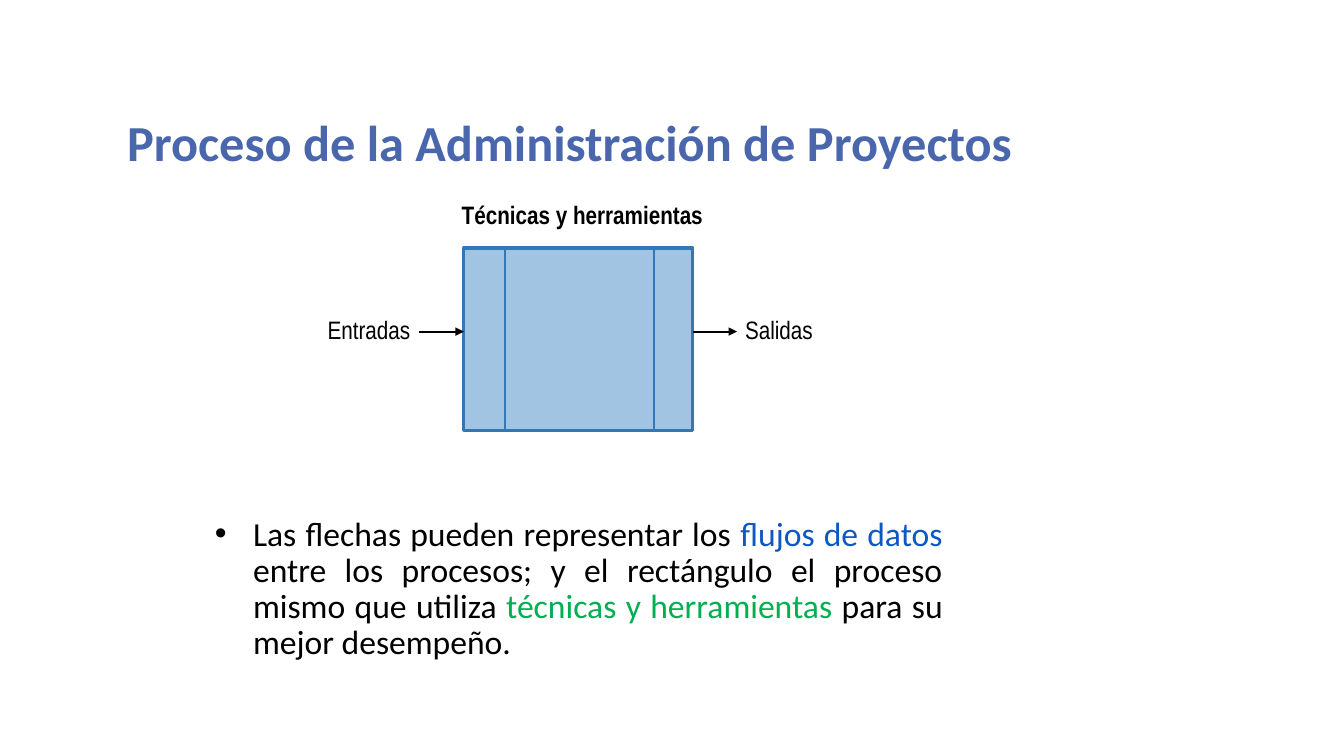
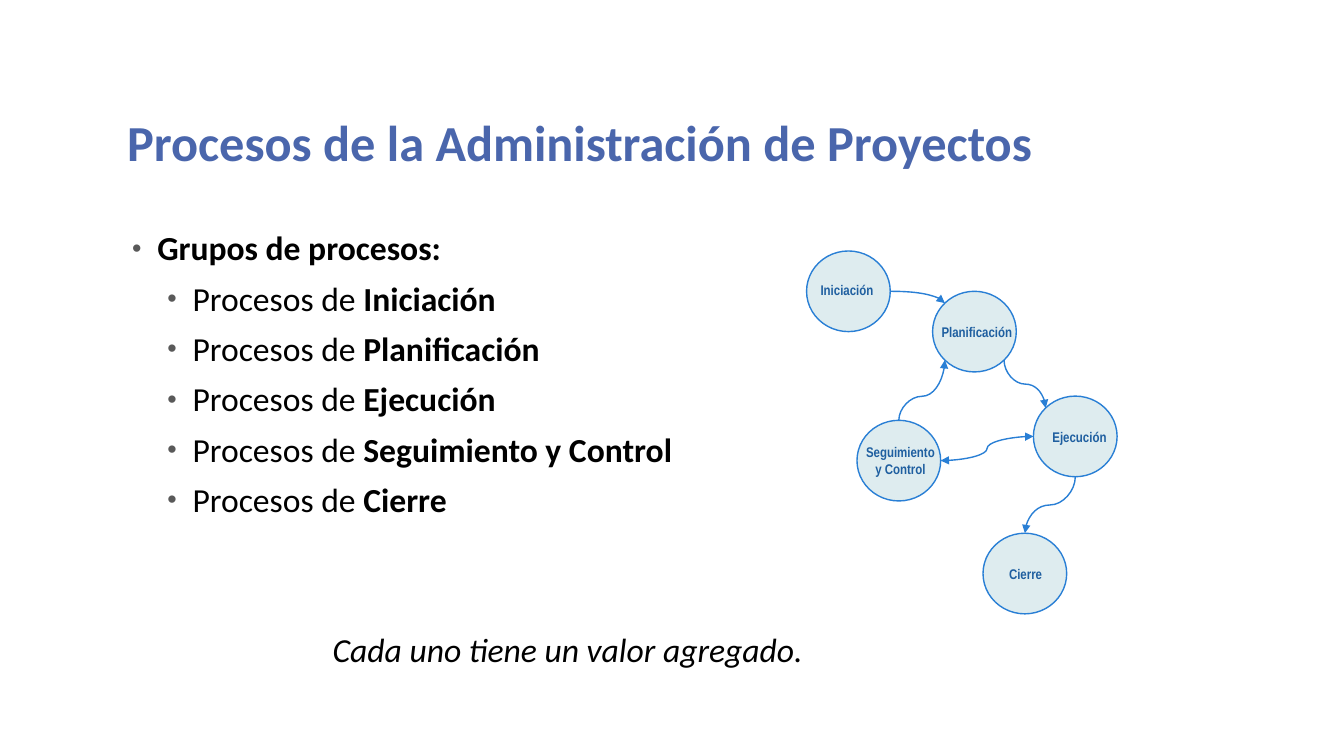
import math
from dataclasses import dataclass
from typing import NamedTuple, Optional

from lxml import etree
from pptx import Presentation
from pptx.dml.color import RGBColor
from pptx.enum import shapes, text
from pptx.oxml import ns
from pptx.util import Inches, Pt


@dataclass(frozen=True)
class Theme:
    heading: str = "Calibri"
    label: str = "Arial Narrow"
    title: str = "4A66AC"
    ink: str = "000000"
    paper: str = "FFFFFF"
    blue: str = "0E58C4"
    green: str = "00B050"
    bullet: str = "595959"
    box_fill: str = "A1C4E3"
    box_line: str = "3477B2"
    node_fill: str = "DEECEF"
    node_line: str = "297FD5"
    node_text: str = "1F5FA0"
    title_size: int = 36
    body_size: int = 24
    label_size: int = 18
    node_size: int = 10


T = Theme()


class Box(NamedTuple):
    x: float
    y: float
    w: float
    h: float

    def emu(self) -> tuple:
        return tuple(Inches(v) for v in self)


class Run(NamedTuple):
    text: str
    color: str = T.ink
    bold: bool = False


class Bullet(NamedTuple):
    margin: float
    hang: float
    before: float
    color: Optional[str] = None
    percent: int = 100


class Label(NamedTuple):
    text: str
    box: Box
    bold: bool = False


@dataclass(frozen=True)
class Node:
    text: str
    x: float
    y: float
    label: Box
    centred: bool = False

    def site(self, degrees: float) -> tuple:
        """Point on the rim, clockwise from the right."""
        a = math.radians(degrees)
        return (self.x + NODE_W / 2 * (1 + math.cos(a)),
                self.y + NODE_H / 2 * (1 + math.sin(a)))


class Link(NamedTuple):
    start: str
    start_angle: int
    end: str
    end_angle: int
    bend: float = 0.5
    quarter: bool = False
    both: bool = False


TITLE_BOX = Box(1.16, 0.58, 9.5, 1.17)
NODE_W, NODE_H = 0.83, 0.8

# Slide 1: process box with its inputs and outputs
PROCESS = Box(4.6, 2.46, 2.27, 1.81)
FLOW_Y = 3.29
FLOW_LEN = 0.44
LABELS = (
    Label("Salidas", Box(7.31, 3.08, 1.35, 0.56)),
    Label("Entradas", Box(3.17, 3.08, 1, 0.44)),
    Label("Técnicas y herramientas", Box(4.5, 1.94, 2.57, 0.48), True),
)
FLOW_TEXT = (
    Run("Las flechas pueden representar los "),
    Run("flujos de datos ", T.blue),
    Run("entre los procesos; y el rectángulo el proceso mismo que utiliza "),
    Run("técnicas y herramientas ", T.green),
    Run("para su mejor desempeño."),
)

# Slide 2: process groups and how they follow one another
NODES = {
    "start": Node("Iniciación", 8, 2.49, Box(8.04, 2.74, 0.93, 0.27)),
    "plan": Node("Planificación", 9.25, 2.89, Box(9.24, 3.16, 1.2, 0.27)),
    "run": Node("Ejecución", 10.25, 3.93, Box(10.34, 4.2, 0.86, 0.27)),
    "control": Node("Seguimiento\vy Control", 8.5, 4.17,
                    Box(8.49, 4.35, 0.88, 0.44), True),
    "close": Node("Cierre", 9.75, 5.29, Box(9.91, 5.56, 0.6, 0.27)),
}
LINKS = (
    Link("start", 0, "plan", 225, quarter=True),
    Link("plan", 45, "run", 225),
    Link("control", 270, "plan", 135, bend=0.4),
    Link("run", 90, "close", 270),
    Link("control", 0, "run", 180, both=True),
)
GROUPS = ("Iniciación", "Planificación", "Ejecución",
          "Seguimiento y Control", "Cierre")


def rgb(color: str) -> RGBColor:
    return RGBColor.from_string(color)


def sub(parent, tag: str, **attrs: str):
    return etree.SubElement(parent, ns.qn(tag), **attrs)


def set_font(font, name: str, size: float, color: Optional[str] = None,
             bold: Optional[bool] = None) -> None:
    font.name, font.size, font.bold = name, Pt(size), bold
    if color:
        font.color.rgb = rgb(color)


def place(sp, box: Box) -> None:
    sp.left, sp.top, sp.width, sp.height = box.emu()


def add_slide(prs, title: str, body: Box):
    """Slide with the shared title style; returns it and its body frame."""
    s = prs.slides.add_slide(prs.slide_layouts[1])
    place(s.shapes.title, TITLE_BOX)
    tf = s.shapes.title.text_frame
    tf.text = title
    tf.auto_size = text.MSO_AUTO_SIZE.NONE
    tf.vertical_anchor = text.MSO_ANCHOR.BOTTOM
    p = tf.paragraphs[0]
    p.alignment, p.line_spacing = text.PP_ALIGN.LEFT, 0.8
    set_font(p.font, T.heading, T.title_size, T.title, True)
    sp = s.placeholders[1]
    place(sp, body)
    sp.text_frame.auto_size = text.MSO_AUTO_SIZE.NONE
    return s, sp.text_frame


def fill_bullet(p, runs: tuple, style: Bullet) -> None:
    p.line_spacing, p.space_before = 0.9, Pt(style.before)
    pPr = p._p.get_or_add_pPr()
    pPr.set("marL", str(Inches(style.margin)))
    pPr.set("indent", str(-Inches(style.hang)))
    if style.color:
        sub(sub(pPr, "a:buClr"), "a:srgbClr", val=style.color)
    sub(pPr, "a:buSzPct", val=str(style.percent * 1000))
    sub(pPr, "a:buFont", typeface="Arial")
    sub(pPr, "a:buChar", char="•")
    set_font(p.font, T.heading, T.body_size)
    for run in runs:
        r = p.add_run()
        r.text = run.text
        r.font.bold = run.bold
        r.font.color.rgb = rgb(run.color)


def add_panel(s, kind, box: Box, fill: str, line: Optional[str] = None,
              width: float = 1):
    sp = s.shapes.add_shape(kind, *box.emu())
    sp.shadow.inherit = False
    sp.fill.solid()
    sp.fill.fore_color.rgb = rgb(fill)
    if line:
        sp.line.color.rgb = rgb(line)
        sp.line.width = Pt(width)
    else:
        sp.line.fill.background()
    return sp


def add_text(s, content: str, box: Box):
    sp = s.shapes.add_textbox(*box.emu())
    sp.text_frame.word_wrap = True
    sp.text_frame.text = content
    return sp.text_frame.paragraphs[0]


def add_label(s, label: Label) -> None:
    sp = add_panel(s, shapes.MSO_SHAPE.RECTANGLE, label.box, T.paper)
    tf = sp.text_frame
    tf.margin_left = tf.margin_right = Inches(0.08)
    tf.margin_top = tf.margin_bottom = Inches(0.04)
    tf.vertical_anchor = text.MSO_ANCHOR.TOP
    tf.text = label.text
    p = tf.paragraphs[0]
    p.alignment = text.PP_ALIGN.LEFT
    set_font(p.font, T.label, T.label_size, T.ink, label.bold)


def add_line(s, start: tuple, end: tuple, color: str, width: float,
             ends: tuple = (), kind=shapes.MSO_CONNECTOR.STRAIGHT):
    c = s.shapes.add_connector(kind, *(Inches(v) for v in start + end))
    c.line.color.rgb = rgb(color)
    c.line.width = Pt(width)
    for tag in ends:
        sub(c.line._get_or_add_ln(), tag, type="triangle")
    sub(c._element.spPr, "a:effectLst")
    return c


def add_curve(s, link: Link) -> None:
    """Curve leaving its node sideways, or turned to leave up or down."""
    x1, y1 = NODES[link.start].site(link.start_angle)
    x2, y2 = NODES[link.end].site(link.end_angle)
    dx, dy = x2 - x1, y2 - y1
    turn, u, v = 0, dx, dy
    if link.start_angle != 0:
        turn, u, v = (90, dy, -dx) if dy > 0 else (270, -dy, dx)
    mx, my = (x1 + x2) / 2, (y1 + y2) / 2
    ends = ("a:headEnd", "a:tailEnd") if link.both else ("a:tailEnd",)
    c = add_line(s, (mx - u / 2, my - v / 2), (mx + u / 2, my + v / 2),
                 T.node_line, 1, ends, shapes.MSO_CONNECTOR.CURVE)
    spPr = c._element.spPr
    if turn:
        spPr.find(ns.qn("a:xfrm")).set("rot", str(turn * 60000))
    geom = spPr.find(ns.qn("a:prstGeom"))
    if link.quarter:
        geom.set("prst", "curvedConnector2")
    elif link.bend != 0.5:
        av = geom.find(ns.qn("a:avLst"))
        if av is None:
            av = sub(geom, "a:avLst")
        sub(av, "a:gd", name="adj1", fmla=f"val {round(link.bend * 100000)}")


def build_process(prs) -> None:
    s, tf = add_slide(prs, "Proceso de la Administración de Proyectos",
                      Box(2.03, 5.08, 7.42, 1.54))
    p = tf.paragraphs[0]
    p.alignment = text.PP_ALIGN.JUSTIFY
    fill_bullet(p, FLOW_TEXT, Bullet(0.38, 0.38, 5))
    for label in LABELS:
        add_label(s, label)
    add_panel(s, shapes.MSO_SHAPE.RECTANGLE, PROCESS, T.box_fill, T.box_line, 2.25)
    for x in (PROCESS.x - FLOW_LEN, PROCESS.x + PROCESS.w):
        add_line(s, (x, FLOW_Y), (x + FLOW_LEN, FLOW_Y), T.ink, 1.5, ("a:tailEnd",))
    for x in (5.01, 6.49):
        add_line(s, (x, PROCESS.y), (x, PROCESS.y + PROCESS.h), T.box_line, 1.5)


def build_groups(prs) -> None:
    s, tf = add_slide(prs, "Procesos de la Administración de Proyectos",
                      Box(1.16, 2.25, 6.38, 3.5))
    fill_bullet(tf.paragraphs[0], (Run("Grupos de procesos:", bold=True),),
                Bullet(0.3, 0.25, 18, T.bullet, 80))
    for group in GROUPS:
        p = tf.add_paragraph()
        p.level = 1
        fill_bullet(p, (Run("Procesos de "), Run(group, bold=True)),
                    Bullet(0.65, 0.25, 10, T.bullet, 80))
    # Diagram
    for node in NODES.values():
        add_panel(s, shapes.MSO_SHAPE.OVAL, Box(node.x, node.y, NODE_W, NODE_H),
                  T.node_fill, T.node_line)
    for link in LINKS:
        add_curve(s, link)
    for node in NODES.values():
        p = add_text(s, node.text, node.label)
        if node.centred:
            p.alignment = text.PP_ALIGN.CENTER
        set_font(p.font, T.label, T.node_size, T.node_text, True)
    # Closing remark
    p = add_text(s, "Cada uno tiene un valor agregado.", Box(3.2, 6.19, 5.43, 0.5))
    set_font(p.font, T.heading, T.body_size, T.ink)
    p.font.italic = True


def main() -> None:
    prs = Presentation()
    prs.slide_width, prs.slide_height = Inches(13.33), Inches(7.5)
    build_process(prs)
    build_groups(prs)
    prs.save("out.pptx")


if __name__ == "__main__":
    main()
